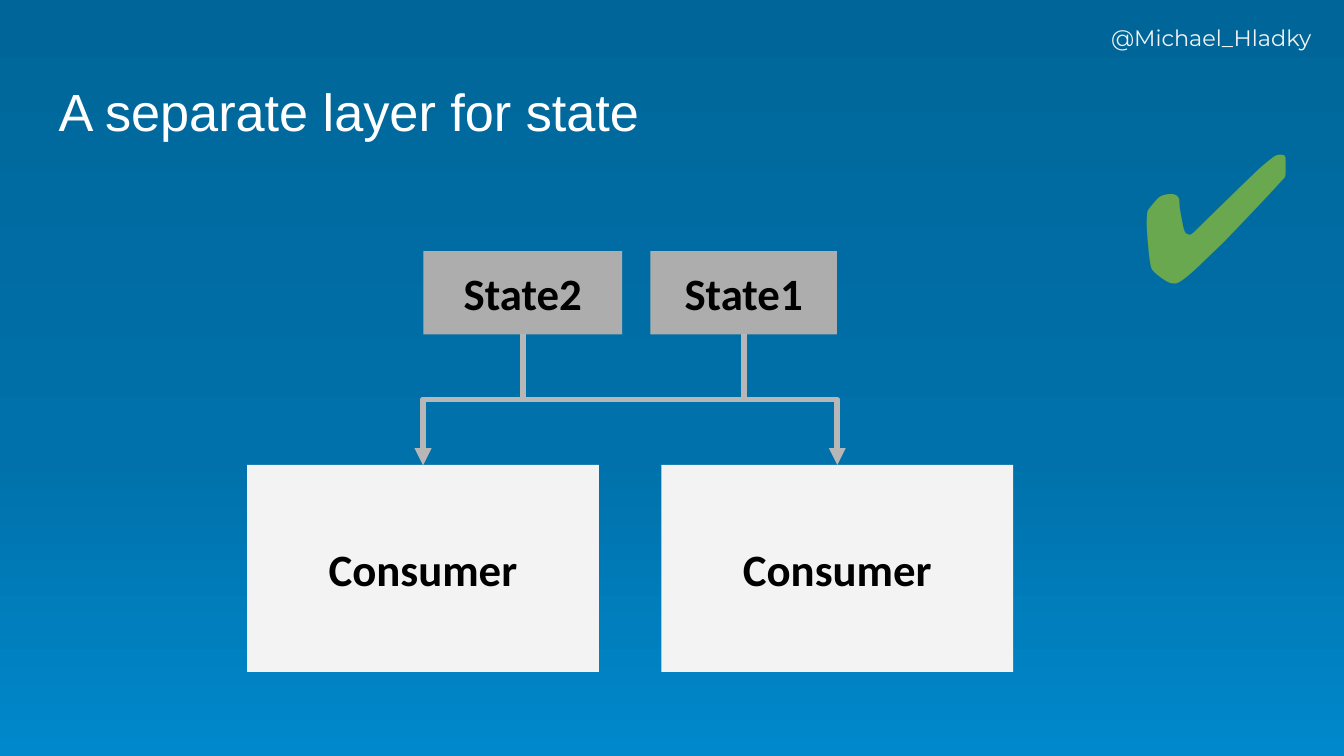
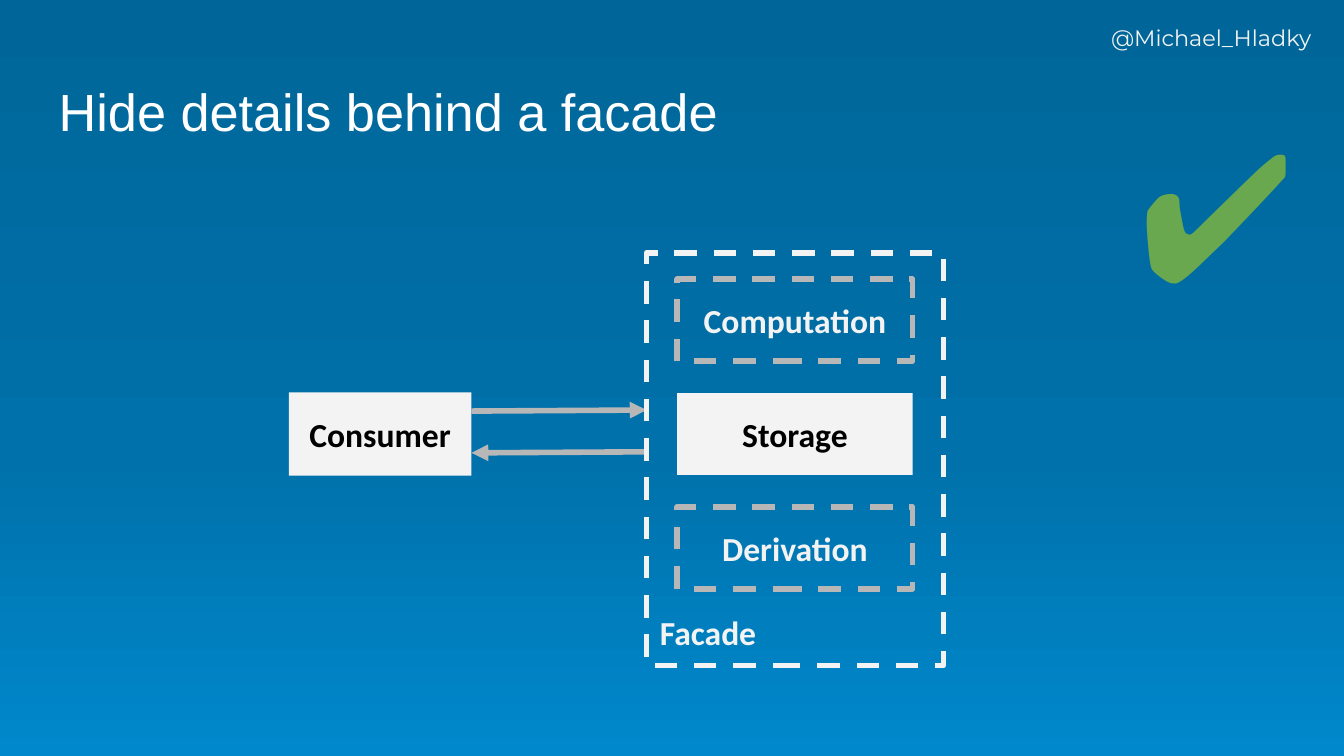
import copy

import lxml.etree
import pptx
import pptx.dml.color
import pptx.enum.dml
import pptx.enum.shapes
import pptx.enum.text
import pptx.oxml.ns
import pptx.util

Cm = pptx.util.Cm
Pt = pptx.util.Pt
RGBColor = pptx.dml.color.RGBColor
PP_ALIGN = pptx.enum.text.PP_ALIGN
MSO_ANCHOR = pptx.enum.text.MSO_ANCHOR
MSO_CONNECTOR = pptx.enum.shapes.MSO_CONNECTOR
qn = pptx.oxml.ns.qn

# Shared colours
GRADIENT = [
    (0, RGBColor(0x00, 0x66, 0x99)),
    (0.6, RGBColor(0x00, 0x71, 0xAA)),
    (1, RGBColor(0x00, 0x88, 0xCC)),
]
WHITE = RGBColor(0xFF, 0xFF, 0xFF)
BLACK = RGBColor(0x00, 0x00, 0x00)
LIGHT = RGBColor(0xF3, 0xF3, 0xF3)
STATE_GREY = RGBColor(0xAD, 0xAD, 0xAD)
LINE_GREY = RGBColor(0xB7, 0xB7, 0xB7)
GREEN = RGBColor(0x6A, 0xA8, 0x4F)

# Content, lengths in centimetres
HANDLE = "@Michael_Hladky"
LAYER_TITLE = "A separate layer for state"
FACADE_TITLE = "Hide details behind a facade"

CONSUMER_LEFTS = [4.67, 12.5]
STATES = [("State2", 8.0, 3.76), ("State1", 12.29, 3.53)]
STATE_LINKS = [(0, 0), (1, 1), (1, 0)]  # state index, consumer index

FACADE = (12.22, 4.78, 5.61, 7.8)
FACADE_PARTS = [("Computation", True), ("Storage", False), ("Derivation", True)]
PART_WIDTH, PART_HEIGHT = 4.45, 1.55
PART_TOP, PART_PITCH = 5.28, 2.15
CLIENT = (5.46, 7.42, 3.45, 1.57)
CALLS = [(7.77, "tailEnd"), (8.56, "headEnd")]  # height, arrowhead end
CALL_RISE = 0.02


def write(shape, text, size, color, font="Calibri", bold=False,
          align=PP_ALIGN.LEFT, anchor=MSO_ANCHOR.TOP):
    frame = shape.text_frame
    frame.word_wrap = True
    frame.vertical_anchor = anchor
    frame.margin_left = frame.margin_right = Cm(0.25)
    frame.margin_top = frame.margin_bottom = Cm(0.25)
    paragraph = frame.paragraphs[0]
    paragraph.text = text
    paragraph.alignment = align
    paragraph.font.name = font
    paragraph.font.size = Pt(size)
    paragraph.font.bold = bold
    paragraph.font.color.rgb = color


def add_label(slide, text, box, size, color, **style):
    write(slide.shapes.add_textbox(*map(Cm, box)), text, size, color, **style)


def add_box(slide, text, box, size, fill=None, dash=None,
            align=PP_ALIGN.CENTER, anchor=MSO_ANCHOR.MIDDLE):
    """Filled box with black text, or dashed outline with light text."""
    shape = slide.shapes.add_shape(
        pptx.enum.shapes.MSO_SHAPE.RECTANGLE, *map(Cm, box))
    shape.shadow.inherit = False
    if fill is None:
        shape.fill.background()
        shape.line.color.rgb = dash
        shape.line.width = Pt(3)
        shape.line.dash_style = pptx.enum.dml.MSO_LINE.DASH
    else:
        shape.fill.solid()
        shape.fill.fore_color.rgb = fill
        shape.line.fill.background()
    write(shape, text, size, LIGHT if fill is None else BLACK,
          bold=True, align=align, anchor=anchor)
    return shape


def style_arrow(connector, end="tailEnd"):
    connector.line.color.rgb = LINE_GREY
    connector.line.width = Pt(3)
    properties = connector.element.spPr
    head = lxml.etree.SubElement(properties.find(qn("a:ln")), qn("a:" + end))
    head.set("type", "triangle")
    lxml.etree.SubElement(properties, qn("a:effectLst"))


def add_elbow(slide, upper, lower):
    """Arrow from the bottom of one box down, across and into the top of another."""
    connector = slide.shapes.add_connector(MSO_CONNECTOR.ELBOW, 0, 0, 0, 0)
    connector.begin_connect(upper, 2)
    connector.end_connect(lower, 0)
    start_x, start_y = upper.left + upper.width // 2, upper.top + upper.height
    end_x, end_y = lower.left + lower.width // 2, lower.top
    # A vertical first leg is a turned elbow, so width and height swap
    connector.width, connector.height = end_y - start_y, abs(end_x - start_x)
    connector.left = (start_x + end_x - connector.width) // 2
    connector.top = (start_y + end_y - connector.height) // 2
    rightward = end_x > start_x
    transform = connector.element.spPr.find(qn("a:xfrm"))
    transform.set("rot", str((270 if rightward else 90) * 60000))
    transform.set("flipH", "1" if rightward else "0")
    transform.set("flipV", "0")
    style_arrow(connector)


def set_background(master):
    fill = master.background.fill
    fill.gradient()
    fill.gradient_angle = 270
    stop_list = master.element.find(".//" + qn("p:bg")).find(".//" + qn("a:gsLst"))
    stop_list.append(copy.deepcopy(stop_list[0]))
    for stop, (position, color) in zip(fill.gradient_stops, GRADIENT):
        stop.position = position
        stop.color.rgb = color


def add_slide(presentation, title):
    slide = presentation.slides.add_slide(presentation.slide_layouts[6])
    add_label(slide, HANDLE, (20.75, 0.2, 4.32, 1.14), 12, LIGHT, font="Montserrat")
    add_label(slide, title, (0.86, 1.24, 23.67, 1.6), 28, WHITE, font="Arial")
    add_label(slide, "✔", (21.26, 2.16, 3.12, 3.61), 96, GREEN,
              anchor=MSO_ANCHOR.MIDDLE)
    return slide


def build_layer_slide(presentation):
    slide = add_slide(presentation, LAYER_TITLE)
    consumers = [add_box(slide, "Consumer", (left, 8.79, 6.65, 3.91), 24, LIGHT)
                 for left in CONSUMER_LEFTS]
    states = [add_box(slide, name, (left, 4.75, width, 1.57), 24, STATE_GREY)
              for name, left, width in STATES]
    for state, consumer in STATE_LINKS:
        add_elbow(slide, states[state], consumers[consumer])


def build_facade_slide(presentation):
    slide = add_slide(presentation, FACADE_TITLE)
    add_box(slide, "Consumer", CLIENT, 18, LIGHT)

    # Parts stacked at an equal pitch, centred in the facade
    part_left = FACADE[0] + (FACADE[2] - PART_WIDTH) / 2
    for index, (name, dashed) in enumerate(FACADE_PARTS):
        box = (part_left, PART_TOP + index * PART_PITCH, PART_WIDTH, PART_HEIGHT)
        add_box(slide, name, box, 18,
                fill=None if dashed else LIGHT, dash=LINE_GREY)

    # Calls to and from the facade
    for height, end in CALLS:
        arrow = slide.shapes.add_connector(
            MSO_CONNECTOR.STRAIGHT, Cm(CLIENT[0] + CLIENT[2]), Cm(height),
            Cm(FACADE[0]), Cm(height - CALL_RISE))
        style_arrow(arrow, end)

    add_box(slide, "Facade", FACADE, 18, dash=LIGHT,
            align=PP_ALIGN.LEFT, anchor=MSO_ANCHOR.BOTTOM)


def main():
    presentation = pptx.Presentation()
    presentation.slide_width = Cm(25.4)
    presentation.slide_height = Cm(14.29)
    set_background(presentation.slide_master)
    build_layer_slide(presentation)
    build_facade_slide(presentation)
    presentation.save("out.pptx")


if __name__ == "__main__":
    main()
